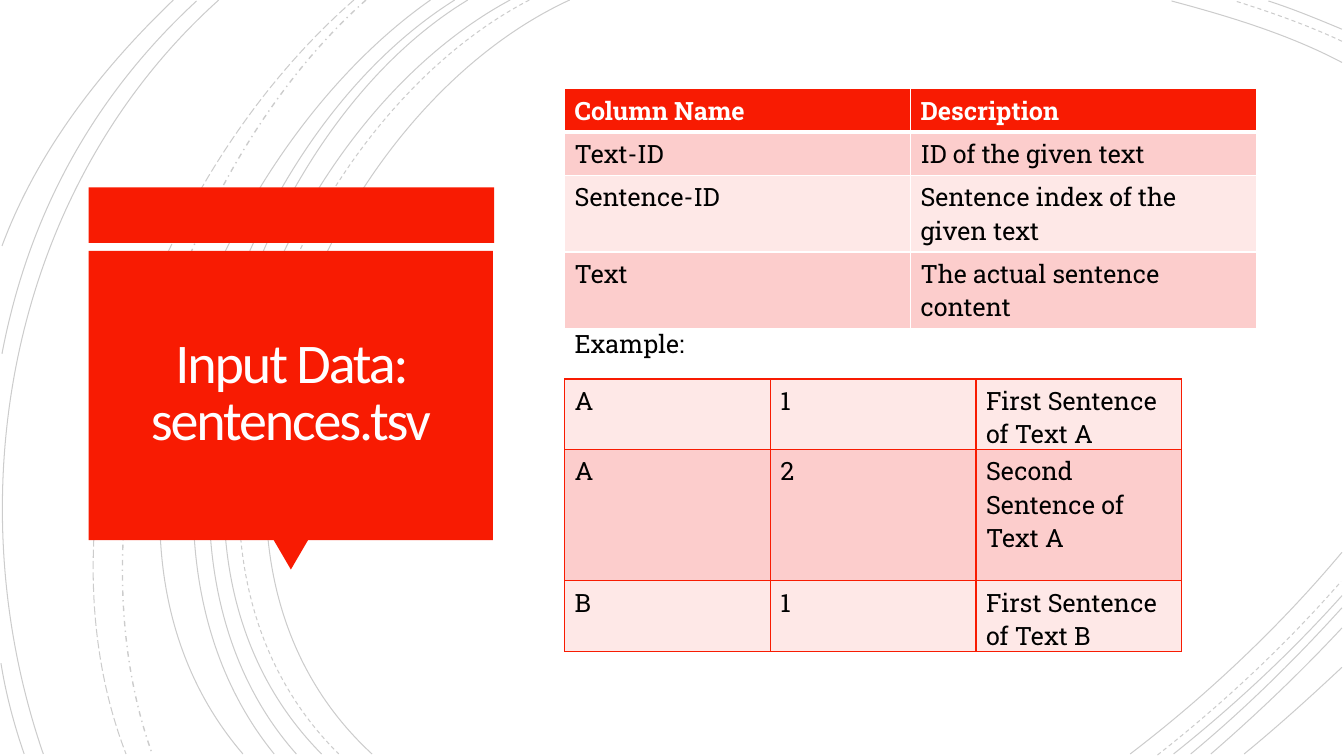
from lxml import etree
from pptx import Presentation
from pptx.dml.color import RGBColor
from pptx.enum.dml import MSO_LINE
from pptx.enum.shapes import MSO_SHAPE
from pptx.enum.text import MSO_ANCHOR, PP_ALIGN
from pptx.oxml.ns import qn
from pptx.util import Pt

PX = 9144
RED = RGBColor(0xF8, 0x1B, 0x02)
PINK = RGBColor(0xFC, 0xCD, 0xCC)
PALE = RGBColor(0xFE, 0xE8, 0xE7)
WHITE = RGBColor(0xFF, 0xFF, 0xFF)
TITLE_WHITE = RGBColor(0xFF, 0xFE, 0xFF)
BLACK = RGBColor(0, 0, 0)

SOLID, DASH = MSO_LINE.SOLID, MSO_LINE.DASH
DASH_DOT, LONG_DASH = MSO_LINE.DASH_DOT, MSO_LINE.LONG_DASH
RECTANGLE, TRIANGLE = MSO_SHAPE.RECTANGLE, MSO_SHAPE.ISOSCELES_TRIANGLE
MIDDLE, TOP = MSO_ANCHOR.MIDDLE, MSO_ANCHOR.TOP
CENTER, LEFT = PP_ALIGN.CENTER, PP_ALIGN.LEFT

BODY_FONT, TITLE_FONT = "Roboto Slab", "Calibri"

ARCS = [
    (SOLID, 0.75, [
        ((565, 0), (315, 115), (143, 540), (369, 748)),
        ((1331, 62), (1278, 34), (1218, 16), (1162, 1)),
        ((1121, 748), (1197, 690), (1269, 622), (1331, 548)),
        ((506, 0), (270, 127), (110, 537), (319, 748)),
        ((1331, 29), (1307, 19), (1283, 9), (1258, 1)),
        ((1164, 748), (1223, 701), (1280, 648), (1331, 591)),
        ((464, 0), (244, 133), (110, 541), (294, 748)),
        ((1181, 748), (1234, 704), (1284, 655), (1331, 603)),
        ((451, 0), (231, 138), (97, 533), (272, 748)),
        ((1201, 748), (1246, 709), (1290, 667), (1331, 623)),
        ((427, 0), (217, 147), (53, 529), (241, 748)),
        ((1234, 748), (1267, 721), (1299, 692), (1331, 662)),
        ((217, 0), (11, 185), (-46, 490), (43, 748)),
        ((195, 1), (92, 96), (28, 214), (2, 351)),
        ((1, 658), (6, 689), (14, 719), (24, 748)),
        ((172, 0), (100, 69), (37, 150), (2, 244)),
    ]),
    (DASH, 0.75, [
        ((525, 0), (285, 125), (123, 537), (336, 748)),
        ((1331, 41), (1297, 25), (1260, 12), (1225, 1)),
        ((1148, 749), (1213, 698), (1275, 640), (1330, 577)),
    ]),
    (DASH_DOT, 1, [((363, 0), (176, 166), (65, 509), (151, 748))]),
    (LONG_DASH, 0.75, [((351, 0), (157, 169), (29, 499), (125, 748))]),
]

COLUMN_ROWS = [
    ("Column Name", "Description"),
    ("Text-ID", "ID of the given text"),
    ("Sentence-ID", "Sentence index of the given text"),
    ("Text", "The actual sentence content"),
]
EXAMPLE_ROWS = [
    ("A", "1", "First Sentence of Text A"),
    ("A", "2", "Second Sentence of Text A"),
    ("B", "1", "First Sentence of Text B"),
]


def scaled(*lengths):
    """Turn px lengths into EMU."""
    return [length * PX for length in lengths]


def bend(outline):
    """Merge the straight segments of an outline into one cubic curve."""
    segments = list(outline.iter(qn("a:lnTo")))
    track = segments[0].getparent()
    curve = etree.SubElement(track, qn("a:cubicBezTo"))
    for segment in segments:
        curve.append(segment[0])
        track.remove(segment)


def add_arc(page, points, dash, width):
    """Draw one faint open arc."""
    first, *others = [scaled(*point) for point in points]
    builder = page.shapes.build_freeform(*first)
    builder.add_line_segments(others, close=False)
    arc = builder.convert_to_shape()
    bend(arc._element)
    arc.shadow.inherit = False
    arc.fill.background()
    arc.line.color.rgb = BLACK
    arc.line.width = Pt(width)
    arc.line.dash_style = dash
    color = arc._element.spPr.find(qn("a:ln")).find(".//" + qn("a:srgbClr"))
    etree.SubElement(color, qn("a:alpha"), val="20000")


def add_block(page, kind, bounds, rotation=0):
    """Draw one plain red shape."""
    block = page.shapes.add_shape(kind, *scaled(*bounds))
    block.shadow.inherit = False
    block.fill.solid()
    block.fill.fore_color.rgb = RED
    block.line.fill.background()
    block.rotation = rotation


def style_text(frame, font, size, color, bold=False, align=LEFT):
    """Format every run of a text frame."""
    for para in frame.paragraphs:
        para.alignment = align
        for span in para.runs:
            span.font.name = font
            span.font.size = Pt(size)
            span.font.bold = bold
            span.font.color.rgb = color


def add_text(page, text, bounds, wrap, anchor):
    """Place a text box and return its frame."""
    box = page.shapes.add_textbox(*scaled(*bounds))
    frame = box.text_frame
    frame.word_wrap = wrap
    frame.vertical_anchor = anchor
    frame.text = text
    return frame


def add_title(page):
    """Place the slide title on the red panel."""
    frame = add_text(page, "Input Data: sentences.tsv", (97, 257, 383, 269), True, MIDDLE)
    frame.margin_left = frame.margin_right = 25 * PX
    frame.margin_top = frame.margin_bottom = 25 * PX
    style_text(frame, TITLE_FONT, 40, TITLE_WHITE, align=CENTER)
    para = frame.paragraphs[0]
    para.line_spacing = 0.85
    para.runs[0].font._element.set("spc", "-150")


def add_border(cell, side, color, width):
    """Draw one side of a cell border."""
    properties = cell._tc.get_or_add_tcPr()
    line = etree.SubElement(properties, qn("a:ln" + side), w=str(Pt(width)))
    fill = etree.SubElement(line, qn("a:solidFill"))
    etree.SubElement(fill, qn("a:srgbClr"), val=str(color))


def add_grid(page, rows, place, column_width, heights, fills, border, header=False, bottom=5):
    """Place a table with one fill per row."""
    columns = len(rows[0])
    bounds = scaled(*place, column_width * columns, sum(heights))
    table = page.shapes.add_table(len(rows), columns, *bounds).table
    table.first_row = header
    table.horz_banding = False
    for column in table.columns:
        column.width = column_width * PX
    for index, (texts, height, fill) in enumerate(zip(rows, heights, fills)):
        table.rows[index].height = height * PX
        is_header = header and index == 0
        for cell, text in zip(table.rows[index].cells, texts):
            cell.text = text
            cell.margin_bottom = bottom * PX
            style_text(cell.text_frame, BODY_FONT, 18, WHITE if is_header else BLACK, is_header)
            for side in "LRTB":
                below_header = is_header and side == "B" or header and index == 1 and side == "T"
                add_border(cell, side, border, 3 if below_header else 1)
            cell.fill.solid()
            cell.fill.fore_color.rgb = fill


def main():
    """Build and save the slide."""
    deck = Presentation()
    deck.slide_width, deck.slide_height = scaled(1333, 750)
    page = deck.slides.add_slide(deck.slide_layouts[6])
    for dash, width, curves in ARCS:
        for points in curves:
            add_arc(page, points, dash, width)
    add_block(page, RECTANGLE, (88, 186, 402, 55))
    add_block(page, TRIANGLE, (271, 535, 35, 30), 180)
    add_block(page, RECTANGLE, (88, 249, 401, 287))
    add_title(page)
    add_grid(page, COLUMN_ROWS, (560, 88), 343, (43, 43, 76, 76),
             (RED, PINK, PALE, PINK), WHITE, header=True)
    example = add_text(page, "Example:", (560, 321, 130, 71), False, TOP)
    style_text(example, BODY_FONT, 18, BLACK)
    add_grid(page, EXAMPLE_ROWS, (560, 376), 204, (70, 130, 70),
             (PALE, PINK, PALE), RED, bottom=0)
    deck.save("out.pptx")


if __name__ == "__main__":
    main()
